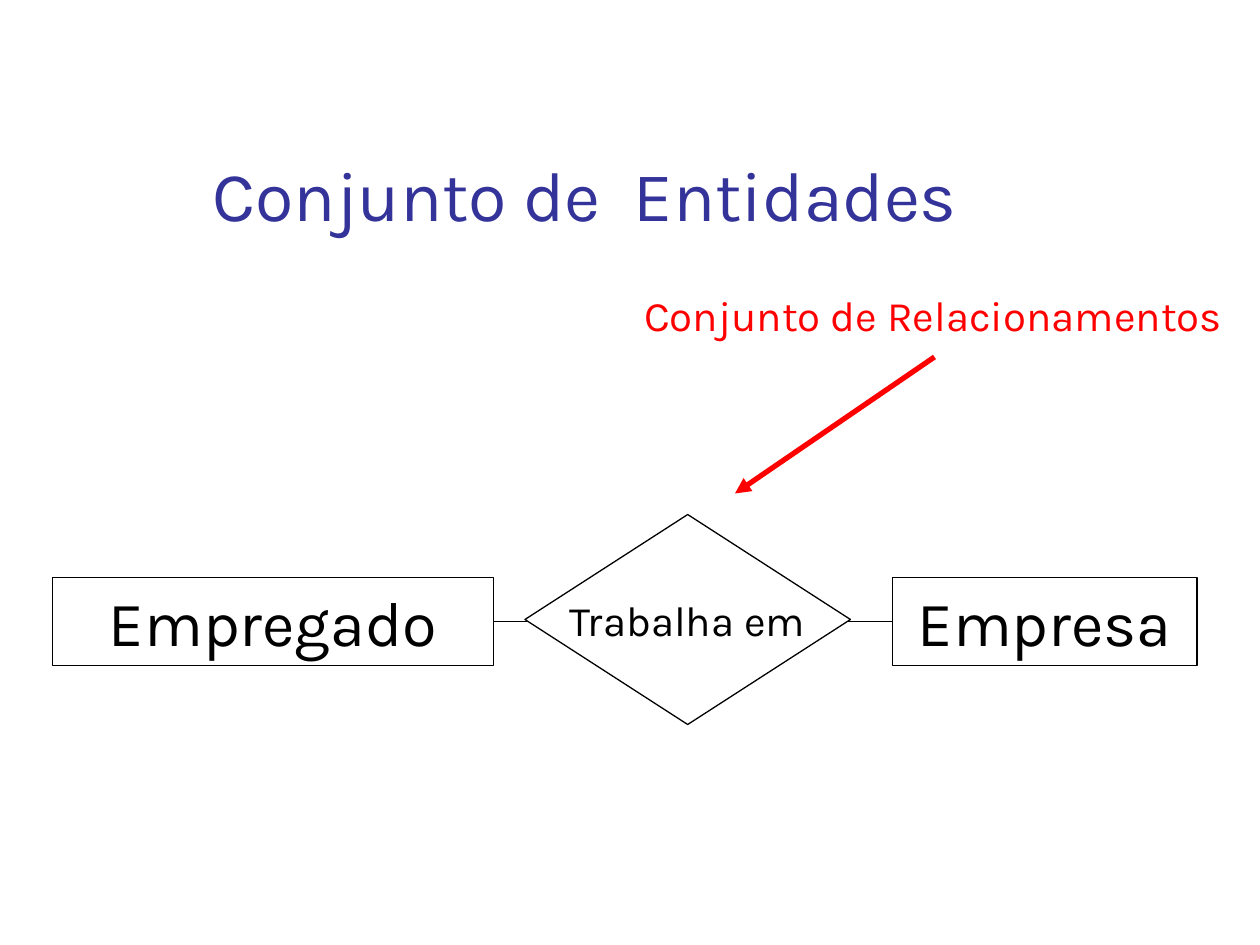
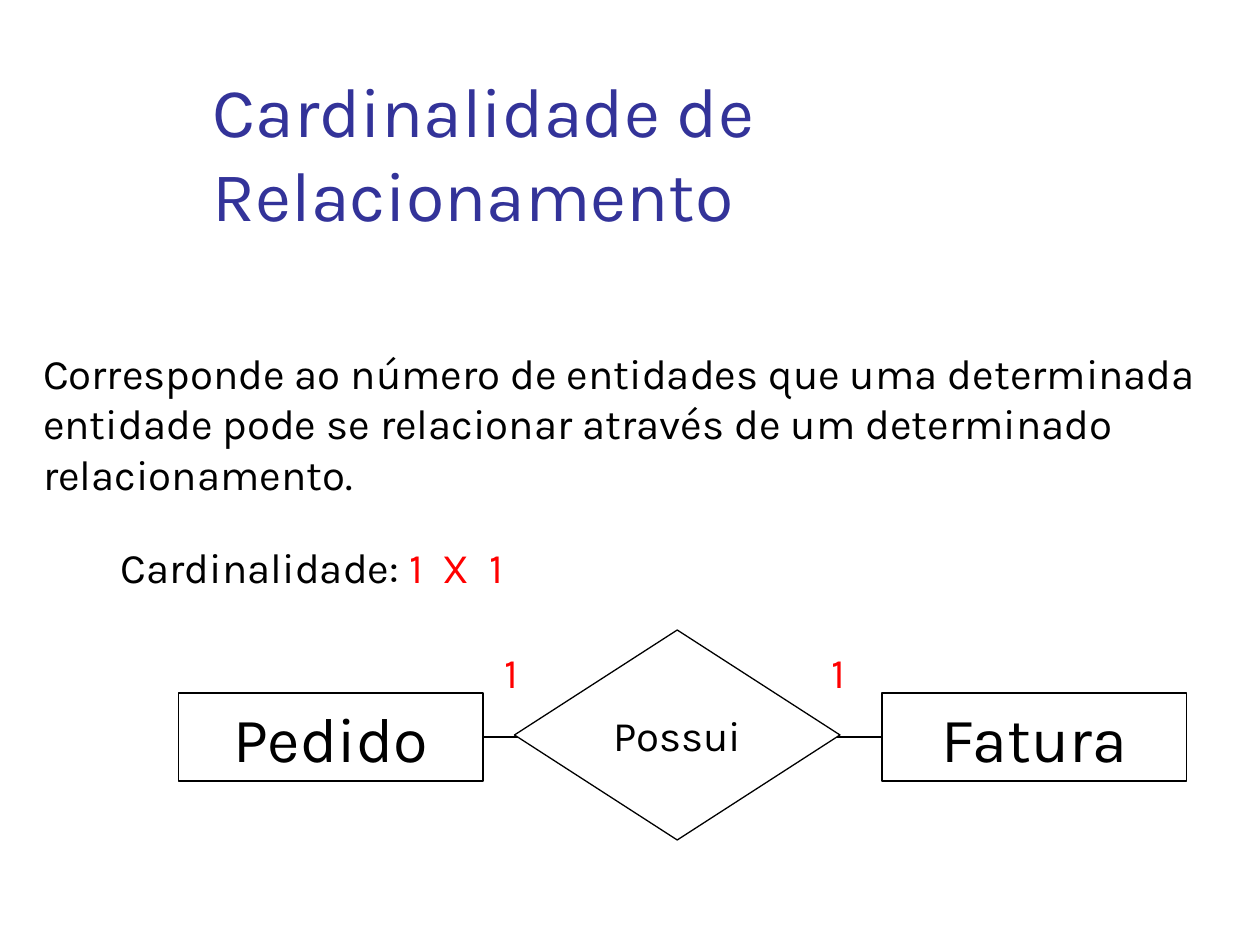
from pptx import Presentation
from pptx.dml.color import RGBColor
from pptx.enum import shapes, text
from pptx.oxml.ns import qn
from pptx.util import Pt
from lxml import etree

FONT = "Karla"
NAVY, RED, BLACK, WHITE = "333399", "FF0000", "000000", "FFFFFF"
BOX_H = 50.4
GEM_W, GEM_H = 186, 120
GAP_L, GAP_R = 18, 24
RISE = 36  # how far the diamond stands above the boxes

KIND = shapes.MSO_SHAPE
ALIGN = text.PP_ALIGN
ANCHOR = text.MSO_ANCHOR
FIT = text.MSO_AUTO_SIZE


def rgb(code):
    return RGBColor.from_string(code)


def write(shape, paras, size, align=ALIGN.LEFT, anchor=ANCHOR.TOP,
          wrap=False, fit=FIT.NONE):
    """Fill a shape with paragraphs, each a list of (words, colour) runs."""
    frame = shape.text_frame
    frame.word_wrap = wrap
    frame.auto_size = fit
    frame.vertical_anchor = anchor
    for i, runs in enumerate(paras):
        para = frame.add_paragraph() if i else frame.paragraphs[0]
        para.alignment = align
        for words, color in runs:
            run = para.add_run()
            run.text = words
            run.font.name = FONT
            run.font.size = Pt(size)
            run.font.color.rgb = rgb(color)


def title(slide, words):
    box = slide.shapes.add_textbox(Pt(114.5), Pt(48), Pt(627), Pt(90))
    write(box, [[(words, NAVY)]], 40, anchor=ANCHOR.BOTTOM, wrap=True)


def note(slide, x, y, w, h, *paras):
    box = slide.shapes.add_textbox(Pt(x), Pt(y), Pt(w), Pt(h))
    write(box, paras, 24, fit=FIT.SHAPE_TO_FIT_TEXT)


def outline(slide, kind, x, y, w, h):
    """Add a white shape with a thin black edge."""
    shape = slide.shapes.add_shape(kind, Pt(x), Pt(y), Pt(w), Pt(h))
    shape.shadow.inherit = False
    shape.fill.solid()
    shape.fill.fore_color.rgb = rgb(WHITE)
    shape.line.color.rgb = rgb(BLACK)
    shape.line.width = Pt(0.75)
    return shape


def entity(slide, x, y, w, name):
    box = outline(slide, KIND.RECTANGLE, x, y, w, BOX_H)
    write(box, [[(name, BLACK)]], 36, ALIGN.CENTER, wrap=True,
          fit=FIT.SHAPE_TO_FIT_TEXT)
    return box


def line(slide, x1, y1, x2, y2, color, width):
    link = slide.shapes.add_connector(
        shapes.MSO_CONNECTOR.STRAIGHT, Pt(x1), Pt(y1), Pt(x2), Pt(y2))
    link.line.color.rgb = rgb(color)
    link.line.width = Pt(width)
    etree.SubElement(link._element.spPr, qn("a:effectLst"))
    return link


def arrow(slide, x1, y1, x2, y2, color, width):
    link = line(slide, x1, y1, x2, y2, color, width)
    edge = link.line._get_or_add_ln()
    etree.SubElement(edge, qn("a:tailEnd"), type="triangle")


def relation(slide, x, y, first, verb, second):
    """Draw two entities, each a (name, width), joined through a diamond."""
    name, wide = first
    left = entity(slide, x, y, wide, name)
    gem_x = x + wide + GAP_L
    name, wide = second
    right = entity(slide, gem_x + GEM_W + GAP_R, y, wide, name)
    link = line(slide, 0, 0, 0, 0, BLACK, 0.75)
    link.begin_connect(left, 3)
    link.end_connect(right, 1)
    gem = outline(slide, KIND.DIAMOND, gem_x, y - RISE, GEM_W, GEM_H)
    write(gem, [[(verb, BLACK)]], 24, ALIGN.CENTER, ANCHOR.MIDDLE)


def entities(slide):
    title(slide, "Conjunto de  Entidades")
    relation(slide, 30, 330, ("Empregado", 252), "Trabalha em",
             ("Empresa", 174))
    arrow(slide, 534, 204, 420, 282, RED, 3)
    note(slide, 361, 162, 353, 36, [("Conjunto de Relacionamentos", RED)])


def degree(slide):
    title(slide, "Cardinalidade de Relacionamento")
    relation(slide, 102, 396, ("Pedido", 174), "Possui", ("Fatura", 174))
    for x in (281.5, 468):
        note(slide, x, 366, 28, 36, [("1", RED)])
    note(slide, 17.5, 195, 702, 93.6,
         [("Corresponde ao número de entidades que uma determinada", BLACK)],
         [("entidade pode se relacionar através de um determinado", BLACK)],
         [("relacionamento.", BLACK)])
    note(slide, 62, 306, 250, 36,
         [("Cardinalidade: ", BLACK), ("1  X  1", RED)])


def main():
    deck = Presentation()
    deck.slide_width, deck.slide_height = Pt(720), Pt(540)
    blank = deck.slide_layouts[6]
    for draw in (entities, degree):
        draw(deck.slides.add_slide(blank))
    deck.save("out.pptx")


if __name__ == "__main__":
    main()
